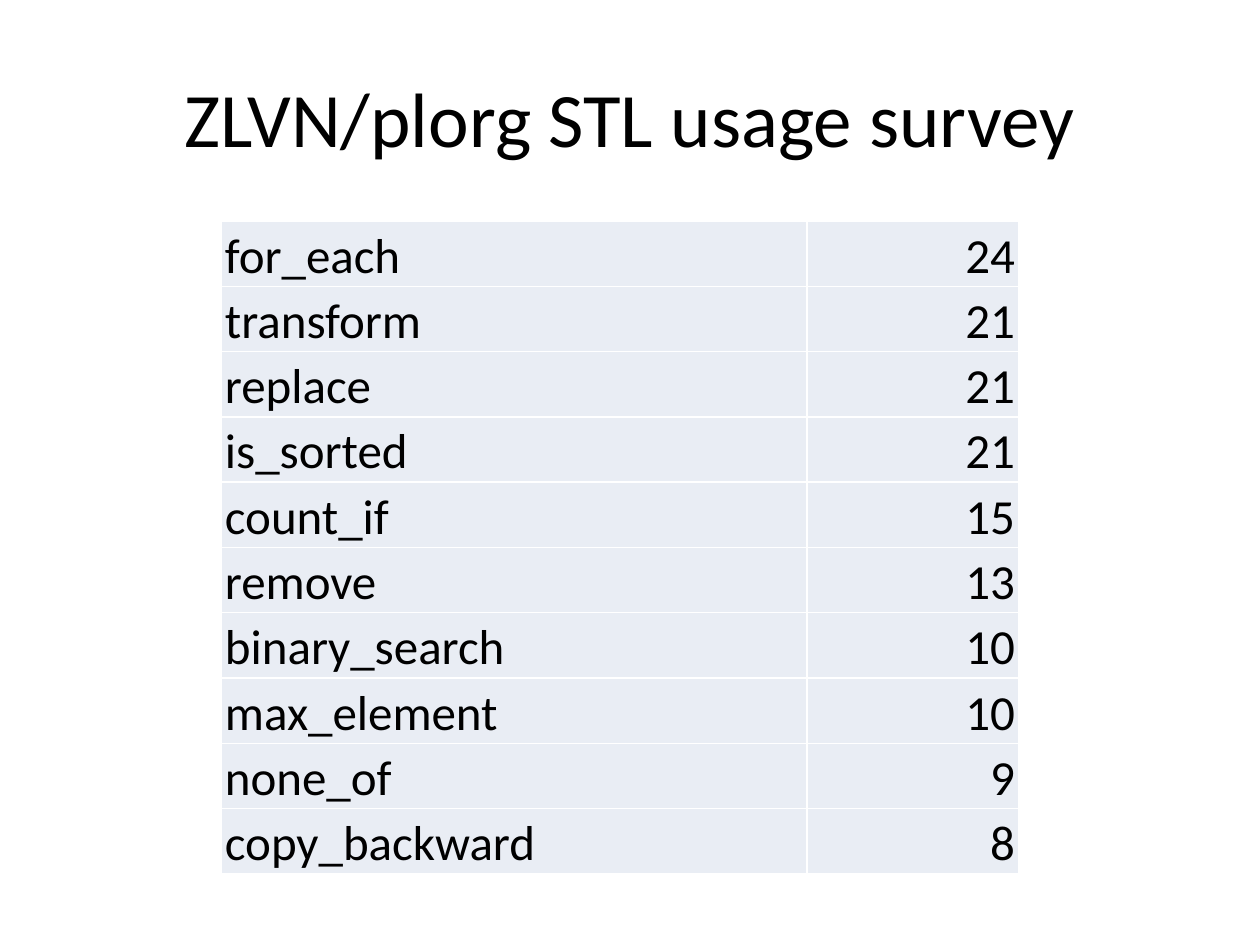
from lxml.etree import SubElement
from pptx import Presentation
from pptx.dml.color import RGBColor
from pptx.enum.text import MSO_ANCHOR, PP_ALIGN
from pptx.oxml.ns import qn
from pptx.util import Emu, Pt

FONT = "Calibri"
COLORS = {"text": "000000", "cell": "E9EDF4", "border": "FFFFFF"}
USAGE = [
    ("for_each", 24),
    ("transform", 21),
    ("replace", 21),
    ("is_sorted", 21),
    ("count_if", 15),
    ("remove", 13),
    ("binary_search", 10),
    ("max_element", 10),
    ("none_of", 9),
    ("copy_backward", 8),
]


def px(n):
    """Turn pixels into EMU at 126 pixels to the inch."""
    return Emu(round(n * 914400 / 126))


def add_run(p, text, size, align):
    """Add one styled run to an aligned paragraph."""
    p.alignment = align
    r = p.add_run()
    r.text = text
    r.font.name = FONT
    r.font.size = Pt(size)
    r.font.color.rgb = RGBColor.from_string(COLORS["text"])


def add_title(slide, text, x, y, w, h):
    """Add the centred slide title."""
    tf = slide.shapes.add_textbox(px(x), px(y), px(w), px(h)).text_frame
    tf.word_wrap = True
    tf.vertical_anchor = MSO_ANCHOR.MIDDLE
    add_run(tf.paragraphs[0], text, 44, PP_ALIGN.CENTER)


def set_borders(cell):
    """Draw a thin solid line on every side of a cell."""
    tc_pr = cell._tc.get_or_add_tcPr()
    for side in ("a:lnL", "a:lnR", "a:lnT", "a:lnB"):
        ln = SubElement(tc_pr, qn(side), w=str(Pt(1)))
        fill = SubElement(ln, qn("a:solidFill"))
        SubElement(fill, qn("a:srgbClr"), val=COLORS["border"])


def fill_cell(cell, text, align):
    """Style one table cell and write its text."""
    cell.margin_left = cell.margin_right = cell.margin_top = px(4)
    cell.margin_bottom = 0
    cell.vertical_anchor = MSO_ANCHOR.BOTTOM
    set_borders(cell)
    cell.fill.solid()
    cell.fill.fore_color.rgb = RGBColor.from_string(COLORS["cell"])
    add_run(cell.text_frame.paragraphs[0], text, 28, align)


def add_usage_table(slide, rows, x, y, widths, h):
    """Add the table of algorithm names and counts with equal rows."""
    table = slide.shapes.add_table(
        len(rows), len(widths), px(x), px(y), px(sum(widths)), px(h)
    ).table
    table.first_row = table.horz_banding = False
    for column, width in zip(table.columns, widths):
        column.width = px(width)
    for i, (name, count) in enumerate(rows):
        fill_cell(table.cell(i, 0), name, PP_ALIGN.LEFT)
        fill_cell(table.cell(i, 1), str(count), PP_ALIGN.RIGHT)


def main():
    """Build the survey slide and save it."""
    prs = Presentation()
    prs.slide_width, prs.slide_height = px(1260), px(945)
    slide = prs.slides.add_slide(prs.slide_layouts[6])
    add_title(slide, "ZLVN/plorg STL usage survey", 63, 38, 1134, 157)
    add_usage_table(slide, USAGE, 221, 221, (586, 212), 653)
    prs.save("out.pptx")


if __name__ == "__main__":
    main()
